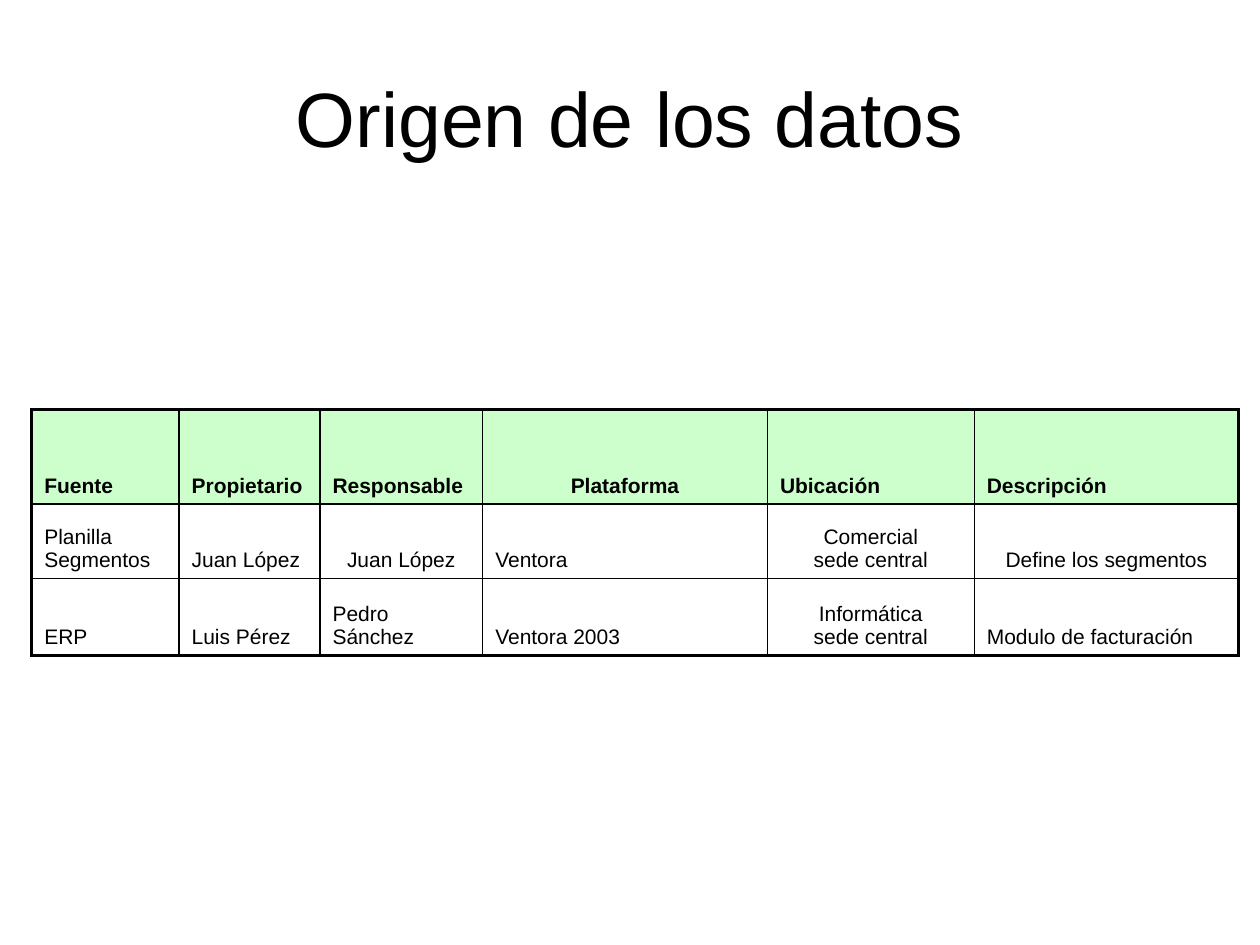
from lxml.etree import SubElement
from pptx import Presentation
from pptx.dml.color import RGBColor
from pptx.enum.text import MSO_ANCHOR as Anchor, PP_ALIGN as Align
from pptx.oxml.ns import qn
from pptx.util import Cm, Pt

COLORS = {"text": "000000", "border": "000000", "header": "CCFFCC"}

COLUMN_WIDTHS = [2.97, 2.84, 3.28, 5.74, 4.17, 5.33]
ROW_HEIGHTS = [1.9, 1.5, 1.55]
SOURCES = [
    ["Fuente", "Propietario", "Responsable", "Plataforma", "Ubicación", "Descripción"],
    ["Planilla\nSegmentos", "Juan López", "Juan López", "Ventora",
     "Comercial\nsede central", "Define los segmentos"],
    ["ERP", "Luis Pérez", "Pedro\nSánchez", "Ventora 2003",
     "Informática\nsede central", "Modulo de facturación"],
]
CENTERED_CELLS = {(0, 3), (1, 2), (1, 4), (1, 5), (2, 4)}


class SlideBuilder:
    font_name = "Arial"
    title_size = 44
    table_size = 12
    outer_border = 2
    inner_border = 1

    def __init__(self, slide):
        self.slide = slide

    def add_text(self, text_frame, text, size, align, bold=False):
        for index, line in enumerate(text.split("\n")):
            paragraph = text_frame.add_paragraph() if index else text_frame.paragraphs[0]
            paragraph.alignment = align
            run = paragraph.add_run()
            run.text = line
            run.font.name = self.font_name
            run.font.size = Pt(size)
            run.font.bold = bold
            run.font.color.rgb = RGBColor.from_string(COLORS["text"])

    def add_title(self, text, left, top, width, height):
        box = self.slide.shapes.add_textbox(Cm(left), Cm(top), Cm(width), Cm(height))
        box.text_frame.word_wrap = True
        box.text_frame.vertical_anchor = Anchor.MIDDLE
        self.add_text(box.text_frame, text, self.title_size, Align.CENTER)

    def add_borders(self, cell, outer_sides):
        properties = cell._tc.get_or_add_tcPr()
        for side in "LRTB":
            points = self.outer_border if side in outer_sides else self.inner_border
            line = SubElement(properties, qn(f"a:ln{side}"), w=str(Pt(points)))
            fill = SubElement(line, qn("a:solidFill"))
            SubElement(fill, qn("a:srgbClr"), val=COLORS["border"])

    def add_table(self, rows, left, top, widths, heights, centered):
        frame = self.slide.shapes.add_table(
            len(rows), len(widths), Cm(left), Cm(top), Cm(sum(widths)), Cm(sum(heights)))
        table = frame.table
        table.first_row = table.horz_banding = False
        for column, width in zip(table.columns, widths):
            column.width = Cm(width)
        for row, height in zip(table.rows, heights):
            row.height = Cm(height)

        last_row, last_column = len(rows) - 1, len(widths) - 1
        for r, texts in enumerate(rows):
            for c, text in enumerate(texts):
                cell = table.cell(r, c)
                edges = {"L": c == 0, "R": c == last_column, "T": r == 0, "B": r == last_row}
                # Borders must come before the fill in the cell properties
                self.add_borders(cell, [side for side, outer in edges.items() if outer])
                if r == 0:
                    cell.fill.solid()
                    cell.fill.fore_color.rgb = RGBColor.from_string(COLORS["header"])
                else:
                    cell.fill.background()
                cell.vertical_anchor = Anchor.BOTTOM
                align = Align.CENTER if (r, c) in centered else Align.LEFT
                self.add_text(cell.text_frame, text, self.table_size, align, bold=r == 0)


def main():
    presentation = Presentation()
    presentation.slide_width, presentation.slide_height = Cm(25.4), Cm(19.05)
    builder = SlideBuilder(presentation.slides.add_slide(presentation.slide_layouts[6]))

    # Title
    builder.add_title("Origen de los datos", 1.27, 0.76, 22.86, 3.18)

    # Data sources
    builder.add_table(SOURCES, 0.64, 8.26, COLUMN_WIDTHS, ROW_HEIGHTS, CENTERED_CELLS)

    presentation.save("out.pptx")


if __name__ == "__main__":
    main()
